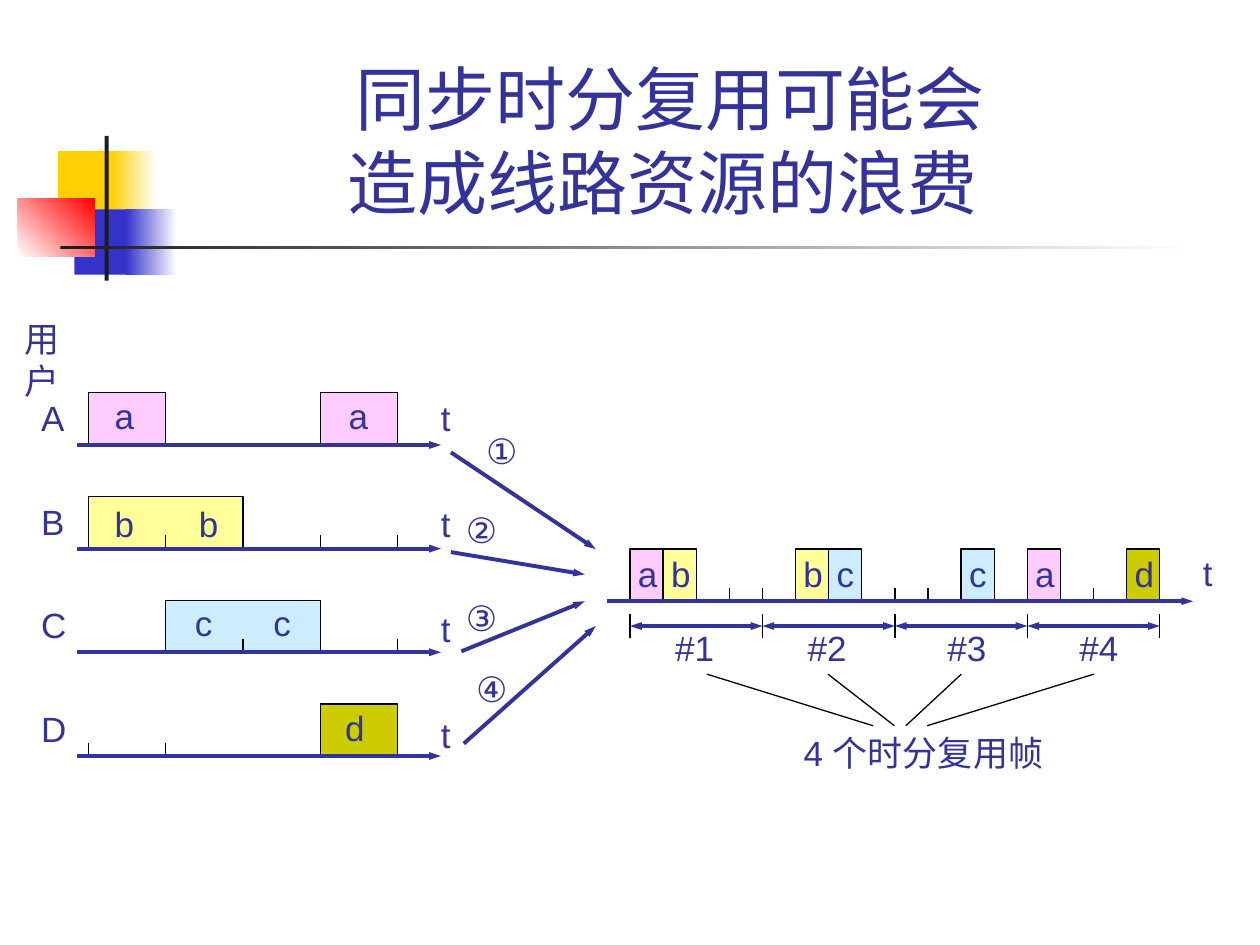
from lxml.etree import SubElement
from pptx import Presentation
from pptx.dml.color import RGBColor
from pptx.enum.shapes import MSO_CONNECTOR, MSO_SHAPE
from pptx.enum.text import MSO_ANCHOR, MSO_AUTO_SIZE, PP_ALIGN
from pptx.oxml.ns import qn
from pptx.util import Cm, Pt

NAVY = RGBColor(0x33, 0x33, 0x99)
BLACK = RGBColor(0, 0, 0)
WHITE = RGBColor(0xFF, 0xFF, 0xFF)
GOLD = RGBColor(0xFF, 0xCF, 0x01)
BLUE = RGBColor(0x33, 0x33, 0xCC)
RED = RGBColor(0xFF, 0, 0)
CHARCOAL = RGBColor(0x1C, 0x1C, 0x1C)
PINK = RGBColor(0xFF, 0xCC, 0xFF)
YELLOW = RGBColor(0xFF, 0xFF, 0x99)
SKY = RGBColor(0xCC, 0xEC, 0xFF)
OLIVE = RGBColor(0xCC, 0xCC, 0)

COLOURS = {"a": PINK, "b": YELLOW, "c": SKY, "d": OLIVE}
BLOCK_HEIGHT = 1.05
TICK = 0.27

USER_LEFT, USER_SLOT = 1.78, 1.56
USER_AXIS, USER_PITCH = 8.97, 2.09
USERS = [
    ("A", 0.97, "a", [(0, 1), (3, 1)], [2.06, 6.78], 7.82, []),
    ("B", 0.97, "b", [(0, 2)], [2.06, 3.76], 10.01, [1, 3, 4]),
    ("C", 1.02, "c", [(1, 2)], [3.68, 5.26], 12.0, [2, 4]),
    ("D", 1.02, "d", [(3, 1)], [6.71], 14.12, [0, 1, 3]),
]

LINE_LEFT, LINE_AXIS = 12.7, 12.12
FRAME_WIDTH = 2.67
LINE_SLOT = FRAME_WIDTH / 4
LINE_BLOCKS = {0: "a", 1: "b", 5: "b", 6: "c", 10: "c", 12: "a", 15: "d"}
LINE_TICKS = [2, 3, 4, 8, 9, 14]
FRAME_AXIS = 12.62
FRAMES = [
    ("#1", 13.36, (14.25, 17.6)),
    ("#2", 16.03, (16.69, 18.03)),
    ("#3", 18.85, (19.38, 18.26)),
    ("#4", 21.51, (22.05, 18.69)),
]

INPUTS = [
    ("①", 9.55, 8.53, (9.09, 9.12), (12.01, 11.07)),
    ("②", 9.14, 10.13, (9.09, 11.13), (11.79, 11.58)),
    ("③", 9.14, 11.91, (9.3, 13.13), (11.79, 12.12)),
    ("④", 9.35, 13.34, (9.35, 14.99), (12.01, 12.62)),
]


class Diagram:
    font = "Arial"
    size = Pt(20)
    thin = Pt(0.75)
    thick = Pt(2.25)

    def __init__(self, slide):
        self.slide = slide
        self.shapes = slide.shapes

    def style(self, para, size):
        para.font.name = self.font
        para.font.size = size
        para.font.color.rgb = NAVY

    def title(self, left, top, width, height, words):
        box = self.shapes.title
        box.left, box.top, box.width, box.height = map(Cm, (left, top, width, height))
        frame = box.text_frame
        frame.text = words
        frame.auto_size = MSO_AUTO_SIZE.NONE
        frame.vertical_anchor = MSO_ANCHOR.BOTTOM
        para = frame.paragraphs[0]
        para.alignment = PP_ALIGN.CENTER
        self.style(para, Pt(40))

    def text(self, left, top, words, width=0.89):
        box = self.shapes.add_textbox(Cm(left), Cm(top), Cm(width), Cm(1.11))
        frame = box.text_frame
        frame.word_wrap = False
        frame.auto_size = MSO_AUTO_SIZE.SHAPE_TO_FIT_TEXT
        frame.text = words
        self.style(frame.paragraphs[0], self.size)

    def bar(self, left, top, width, height, colour, end=None, angle=0):
        shape = self.shapes.add_shape(
            MSO_SHAPE.RECTANGLE, Cm(left), Cm(top), Cm(width), Cm(height))
        shape.shadow.inherit = False
        shape.line.fill.background()
        if end is None:
            shape.fill.solid()
            shape.fill.fore_color.rgb = colour
            return
        shape.fill.gradient()
        shape.fill.gradient_angle = angle
        for stop, shade in zip(shape.fill.gradient_stops, (colour, end)):
            stop.color.rgb = shade

    def block(self, left, axis, width, colour):
        top = Cm(axis - BLOCK_HEIGHT)
        right, bottom = Cm(left + width), Cm(axis)
        builder = self.shapes.build_freeform(Cm(left), bottom)
        builder.add_line_segments(
            [(Cm(left), top), (right, top), (right, bottom)], close=False)
        shape = builder.convert_to_shape()
        shape.shadow.inherit = False
        shape.fill.solid()
        shape.fill.fore_color.rgb = colour
        shape.line.color.rgb = BLACK
        shape.line.width = self.thin

    def line(self, start, end, colour=BLACK, width=thin, heads=()):
        connector = self.shapes.add_connector(
            MSO_CONNECTOR.STRAIGHT, *map(Cm, (*start, *end)))
        connector.line.color.rgb = colour
        connector.line.width = width
        outline = connector.line._get_or_add_ln()
        for head in heads:
            SubElement(outline, qn(f"a:{head}"), type="triangle", w="sm", len="med")
        SubElement(connector._element.spPr, qn("a:effectLst"))

    def arrow(self, start, end, heads=("tailEnd",)):
        self.line(start, end, NAVY, self.thick, heads)

    def tick(self, x, axis):
        self.line((x, axis - TICK), (x, axis))


def draw_ornament(diagram):
    diagram.bar(1.17, 3.05, 1.22, 1.32, GOLD)
    diagram.bar(2.24, 3.05, 0.91, 1.32, GOLD, WHITE)
    diagram.bar(1.5, 4.22, 1.17, 1.32, BLUE)
    diagram.bar(2.54, 4.22, 1.02, 1.32, BLUE, WHITE)
    diagram.bar(0.36, 4.01, 1.55, 1.17, WHITE, RED, 45)
    diagram.bar(2.11, 2.74, 0.08, 2.92, CHARCOAL)
    diagram.bar(1.22, 4.95, 22.86, 0.08, CHARCOAL, WHITE)


def draw_users(diagram):
    diagram.text(0.25, 6.27, "用户", 1.9)
    for row, (name, width, letter, blocks, lefts, top, ticks) in enumerate(USERS):
        axis = USER_AXIS + row * USER_PITCH
        for slot, count in blocks:
            diagram.block(USER_LEFT + slot * USER_SLOT, axis,
                          count * USER_SLOT, COLOURS[letter])
        for slot in ticks:
            diagram.tick(USER_LEFT + slot * USER_SLOT, axis)
        for left in lefts:
            diagram.text(left, top, letter)
        diagram.text(0.58, axis - 1.1, name, width)
        diagram.text(8.64, 7.87 + row * 2.13, "t", 0.69)
        diagram.arrow((1.55, axis), (8.89, axis))


def draw_inputs(diagram):
    for number, left, top, start, end in INPUTS:
        diagram.arrow(start, end)
        diagram.text(left, top, number, 1.14)


def draw_shared_line(diagram):
    for slot, letter in LINE_BLOCKS.items():
        diagram.block(LINE_LEFT + slot * LINE_SLOT, LINE_AXIS, LINE_SLOT, COLOURS[letter])
    for slot in LINE_TICKS:
        diagram.tick(LINE_LEFT + slot * LINE_SLOT, LINE_AXIS)
    for slot, letter in LINE_BLOCKS.items():
        diagram.text(LINE_LEFT + slot * LINE_SLOT - 0.09, 11.02, letter)
    diagram.arrow((12.24, LINE_AXIS), (24.05, LINE_AXIS))
    diagram.text(24.0, 11.0, "t", 0.69)


def draw_frames(diagram):
    edges = [LINE_LEFT + index * FRAME_WIDTH for index in range(len(FRAMES) + 1)]
    for edge in edges:
        diagram.line((edge, FRAME_AXIS - 0.25), (edge, FRAME_AXIS + 0.25))
    for start, end, (name, left, (top_x, bottom_x)) in zip(edges, edges[1:], FRAMES):
        diagram.arrow((start, FRAME_AXIS), (end, FRAME_AXIS), ("headEnd", "tailEnd"))
        diagram.text(left, 12.5, name, 1.3)
        diagram.line((top_x, 13.59), (bottom_x, 14.63))
    diagram.text(15.95, 14.63, "4 个时分复用帧", 5.51)


def main():
    deck = Presentation()
    deck.slide_width, deck.slide_height = Cm(25.4), Cm(19.05)
    diagram = Diagram(deck.slides.add_slide(deck.slide_layouts[5]))
    draw_ornament(diagram)
    diagram.title(3.2, 0.58, 20.62, 4.06, "同步时分复用可能会\v造成线路资源的浪费 ")
    draw_users(diagram)
    draw_inputs(diagram)
    draw_shared_line(diagram)
    draw_frames(diagram)
    deck.save("out.pptx")


if __name__ == "__main__":
    main()
